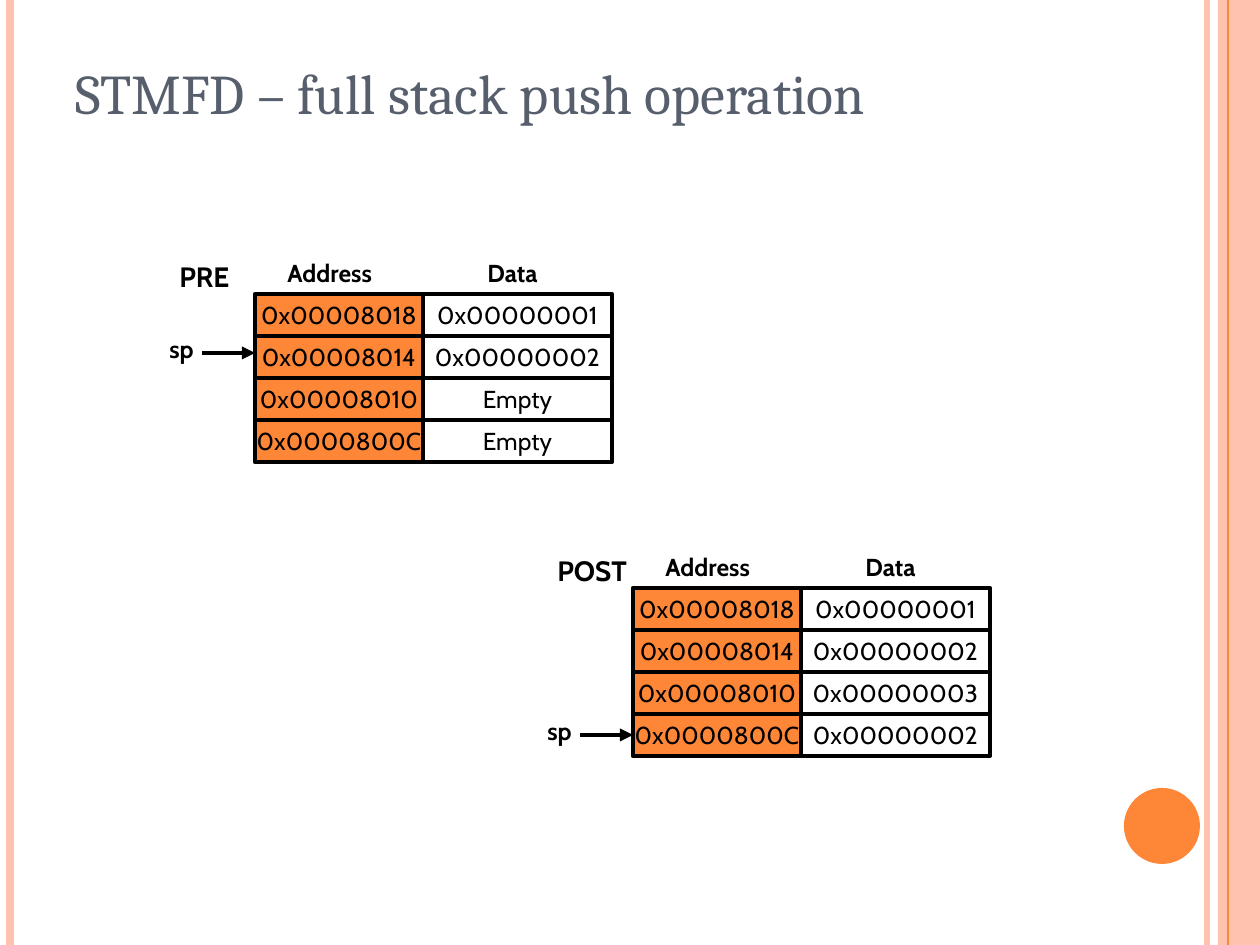
from lxml import etree
from pptx import Presentation
from pptx.dml.color import RGBColor
from pptx.enum.shapes import MSO_CONNECTOR, MSO_SHAPE
from pptx.enum.text import MSO_ANCHOR, MSO_AUTO_SIZE, PP_ALIGN
from pptx.oxml.ns import qn
from pptx.util import Emu, Pt

PX = 914400 // 126
WIDTH, HEIGHT = 1260, 945

RECTANGLE, OVAL = MSO_SHAPE.RECTANGLE, MSO_SHAPE.OVAL
STRAIGHT = MSO_CONNECTOR.STRAIGHT
LEFT, CENTER = PP_ALIGN.LEFT, PP_ALIGN.CENTER
TOP, MIDDLE = MSO_ANCHOR.TOP, MSO_ANCHOR.MIDDLE
NO_AUTOFIT = MSO_AUTO_SIZE.NONE
LEFT_SIDE = 1

BLACK, ORANGE, PEACH, SLATE = "000000", "FE8637", "FEC2AE", "575F6D"
BODY_FONT, TITLE_FONT = "Cabin", "Cambria"

ROW_HEIGHT, ADDRESS_WIDTH, DATA_WIDTH = 42, 168, 189
ADDRESSES = ["0x00008018", "0x00008014", "0x00008010", "0x0000800C"]
PRE_DATA = ["0x00000001", "0x00000002", "Empty", "Empty"]
POST_DATA = ["0x00000001", "0x00000002", "0x00000003", "0x00000002"]


def px(*lengths):
    return [Emu(length * PX) for length in lengths]


def color(hex_code):
    return RGBColor.from_string(hex_code)


def write(frame, text, size, align=LEFT, bold=False, font=BODY_FONT, ink=BLACK):
    frame.text = text
    paragraph = frame.paragraphs[0]
    paragraph.alignment = align
    paragraph.font.name = font
    paragraph.font.size = Pt(size)
    paragraph.font.bold = bold
    paragraph.font.color.rgb = color(ink)


def add_block(slide, kind, box, fill=None, outline=None):
    block = slide.shapes.add_shape(kind, *px(*box))
    block.shadow.inherit = False
    if fill:
        block.fill.solid()
        block.fill.fore_color.rgb = color(fill)
    else:
        block.fill.background()
    if outline:
        block.line.color.rgb = color(outline)
        block.line.width = Pt(2.5)
    else:
        block.line.fill.background()
    return block


def add_cell(slide, box, text, fill=None):
    cell = add_block(slide, RECTANGLE, box, fill, BLACK)
    write(cell.text_frame, text, 14, CENTER)
    cell.text_frame.word_wrap = False
    cell.text_frame.vertical_anchor = MIDDLE
    return cell


def add_label(slide, left, top, text, size=14):
    label = slide.shapes.add_textbox(*px(left, top, 242, 42))
    label.text_frame.word_wrap = True
    write(label.text_frame, text, size, bold=True)


def add_line(slide, start, end, ink, width):
    line = slide.shapes.add_connector(STRAIGHT, *px(*start, *end))
    line.line.color.rgb = color(ink)
    line.line.width = Pt(width)
    etree.SubElement(line._element.spPr, qn("a:effectLst"))
    return line


def add_arrow(slide, start, end):
    arrow = add_line(slide, start, end, BLACK, 2.5)
    etree.SubElement(arrow.line._get_or_add_ln(), qn("a:tailEnd"), type="triangle")
    return arrow


def add_decoration(slide):
    for x, ink, width in [(1207, PEACH, 3), (10, PEACH, 4.5)]:
        add_line(slide, (x, 0), (x, HEIGHT), ink, width)
    add_block(slide, RECTANGLE, (1218, 0, 42, HEIGHT), PEACH)
    add_line(slide, (1228, 0), (1228, HEIGHT), ORANGE, 0.75)
    add_block(slide, OVAL, (1124, 788, 76, 76), ORANGE)


def add_title(slide, text):
    title = slide.shapes.title
    title.left, title.top, title.width, title.height = px(63, 52, 1134, 144)
    write(title.text_frame, text, 32, font=TITLE_FONT, ink=SLATE)
    title.text_frame.vertical_anchor = TOP
    title.text_frame.auto_size = NO_AUTOFIT


def add_stack(slide, left, top, state, data, sp_row, sp_lift=0):
    """Draw a stack; sp_lift raises the pointer above the middle of its row."""
    # Memory cells
    data_left = left + ADDRESS_WIDTH
    address_cells = []
    for row, (address, value) in enumerate(zip(ADDRESSES, data)):
        y = top + row * ROW_HEIGHT
        address_cells.append(
            add_cell(slide, (left, y, ADDRESS_WIDTH, ROW_HEIGHT), address, ORANGE))
        add_cell(slide, (data_left, y, DATA_WIDTH, ROW_HEIGHT), value)

    # Headings
    add_label(slide, left - 88, top - 41, state, 16)
    add_label(slide, left + 20, top - 42, "Address")
    add_label(slide, left + 220, top - 42, "Data")

    # Stack pointer
    sp_y = top + sp_row * ROW_HEIGHT + ROW_HEIGHT // 2 - sp_lift
    add_label(slide, left - 98, sp_y - 25, "sp")
    arrow = add_arrow(slide, (left - 53, sp_y), (left, sp_y))
    if not sp_lift:
        arrow.end_connect(address_cells[sp_row], LEFT_SIDE)


def main():
    prs = Presentation()
    prs.slide_width, prs.slide_height = px(WIDTH, HEIGHT)
    slide = prs.slides.add_slide(prs.slide_layouts[5])
    add_decoration(slide)
    add_title(slide, "STMFD – full stack push operation")
    add_stack(slide, 255, 294, "PRE", PRE_DATA, sp_row=1, sp_lift=4)
    add_stack(slide, 633, 588, "POST", POST_DATA, sp_row=3)
    prs.save("out.pptx")


if __name__ == "__main__":
    main()
